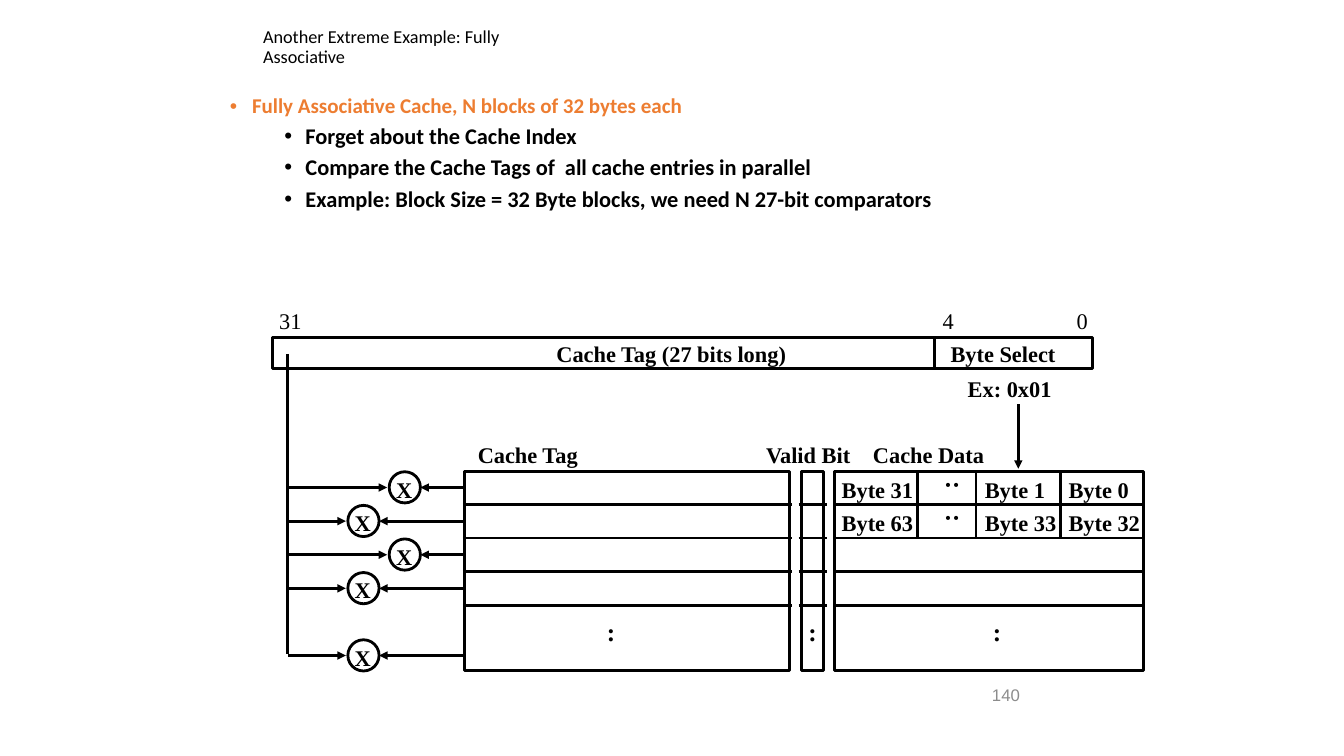
from lxml import etree
from pptx import Presentation
from pptx.dml.color import RGBColor
from pptx.enum.shapes import MSO_CONNECTOR, MSO_SHAPE
from pptx.enum.text import MSO_ANCHOR
from pptx.oxml.ns import qn
from pptx.util import Inches, Pt

COLORS = {"ink": "000000", "accent": "ED7D31", "number": "8C8C8C"}
SERIF = "Times New Roman"
ROW_HEIGHT = 1 / 3
ROWS_TOP = 4.67
TABLE_TOP, TABLE_HEIGHT = 4.68, 1.97
TAG_LEFT = 4.61
BUS_X = 2.86
CIRCLE_SIZE = 0.31

BULLETS = [
    "Fully Associative Cache, N blocks of 32 bytes each",
    "Forget about the Cache Index",
    "Compare the Cache Tags of  all cache entries in parallel",
    "Example: Block Size = 32 Byte blocks, we need N 27-bit comparators",
]
# Outline left and width, rule left and right, left of the colon
TABLES = [
    (8.28, 3.06, 8.28, 11.34, 9.75),
    (TAG_LEFT, 3.22, 4.59, 7.86, 5.92),
    (7.95, 0.22, 7.92, 8.20, 7.92),
]
# Text, left, top, width, bold
LABELS = [
    ("31", 2.67, 3.0, 0.42, False),
    ("4", 9.25, 3.0, 0.31, False),
    ("0", 10.58, 3.0, 0.31, False),
    ("Cache Tag (27 bits long)", 5.42, 3.33, 2.51, True),
    ("Byte Select", 9.33, 3.33, 1.26, True),
    ("Ex: 0x01", 9.5, 3.67, 1.04, True),
    ("Cache Tag", 4.64, 4.33, 1.21, True),
    ("Valid Bit", 7.5, 4.33, 1.06, True),
    ("Cache Data", 8.56, 4.33, 1.31, True),
]
# Text, left, width
BYTE_ROWS = [
    [("Byte 31", 8.25, 0.92), ("Byte 1", 9.67, 0.8), ("Byte 0", 10.5, 0.8)],
    [("Byte 63", 8.25, 0.92), ("Byte 33", 9.67, 0.92), ("Byte 32", 10.5, 0.92)],
]
BYTE_DIVIDERS = [9.1, 9.68, 10.52]
# Table row, left of the circle
COMPARATORS = [(0, 3.86), (1, 3.45), (2, 3.86), (3, 3.45), (5, 3.45)]


def style_font(font, name, size, color="ink", bold=False):
    font.name, font.size, font.bold = name, Pt(size), bold
    font.color.rgb = RGBColor.from_string(COLORS[color])


def add_text_frame(slide, left, top, width, height):
    box = slide.shapes.add_textbox(
        Inches(left), Inches(top), Inches(width), Inches(height))
    box.text_frame.word_wrap = True
    return box.text_frame


def add_label(slide, text, left, top, width, bold=True, size=16, rotation=0):
    height = 0.4 if size > 16 else 0.37
    box = slide.shapes.add_textbox(
        Inches(left), Inches(top), Inches(width), Inches(height))
    box.rotation = rotation
    box.text_frame.word_wrap = False
    box.text_frame.text = text
    style_font(box.text_frame.paragraphs[0].runs[0].font, SERIF, size, bold=bold)


def add_outline(slide, kind, left, top, width, height):
    shape = slide.shapes.add_shape(
        kind, Inches(left), Inches(top), Inches(width), Inches(height))
    shape.shadow.inherit = False
    shape.fill.background()
    shape.line.color.rgb = RGBColor.from_string(COLORS["ink"])
    shape.line.width = Pt(2)


def add_line(slide, x1, y1, x2, y2, arrow=False):
    line = slide.shapes.add_connector(
        MSO_CONNECTOR.STRAIGHT, Inches(x1), Inches(y1), Inches(x2), Inches(y2))
    line.line.color.rgb = RGBColor.from_string(COLORS["ink"])
    line.line.width = Pt(2)
    if arrow:
        etree.SubElement(line.line._get_or_add_ln(), qn("a:tailEnd"), type="triangle")
    etree.SubElement(line._element.spPr, qn("a:effectLst"))


def add_title(slide):
    frame = add_text_frame(slide, 2.54, 0.25, 3.33, 0.25)
    frame.margin_left, frame.margin_right = Inches(0.07), Inches(0.5)
    frame.margin_top = frame.margin_bottom = Inches(0.03)
    frame.text = "Another Extreme Example: Fully Associative"
    frame.paragraphs[0].line_spacing = 0.9
    style_font(frame.paragraphs[0].runs[0].font, "Calibri", 13)


def add_bullets(slide):
    frame = add_text_frame(slide, 2.21, 0.92, 9.29, 1.22)
    frame.margin_left = frame.margin_right = Inches(0.07)
    frame.margin_top = frame.margin_bottom = Inches(0.03)
    for index, text in enumerate(BULLETS):
        is_sub = index > 0
        paragraph = frame.add_paragraph() if is_sub else frame.paragraphs[0]
        paragraph.text = text
        paragraph.level = int(is_sub)
        paragraph.line_spacing = 0.9
        if is_sub:
            paragraph.space_before = Pt(5)
        indent, hanging = (0.75, 0.21) if is_sub else (0.22, 0.22)
        properties = paragraph._p.get_or_add_pPr()
        properties.set("marL", str(Inches(indent)))
        properties.set("indent", str(-Inches(hanging)))
        etree.SubElement(properties, qn("a:buFont"), typeface="Arial")
        etree.SubElement(properties, qn("a:buChar"), char="•")
        style_font(paragraph.runs[0].font, "Calibri", 16 if is_sub else 15,
                   "ink" if is_sub else "accent", bold=True)


def add_address(slide):
    add_outline(slide, MSO_SHAPE.RECTANGLE, 2.7, 3.35, 8.14, 0.31)
    add_line(slide, 9.27, 3.35, 9.27, 3.65)
    add_line(slide, 10.1, 4.01, 10.1, 4.65, arrow=True)


def add_tables(slide):
    for left, width, rule_left, rule_right, colon_left in TABLES:
        add_outline(slide, MSO_SHAPE.RECTANGLE, left, TABLE_TOP, width, TABLE_HEIGHT)
        for row in range(1, 5):
            y = ROWS_TOP + row * ROW_HEIGHT
            add_line(slide, rule_left, y, rule_right, y)
        add_label(slide, ":", colon_left, 6.07, 0.28, size=18)


def add_bytes(slide):
    for row, cells in enumerate(BYTE_ROWS):
        top = ROWS_TOP + row * ROW_HEIGHT
        for text, left, width in cells:
            add_label(slide, text, left, top, width)
        for x in BYTE_DIVIDERS:
            add_line(slide, x, top + 0.01, x, top + 0.32)
        add_label(slide, ":", 9.26, top - 0.06, 0.28, size=18, rotation=270)


def add_comparators(slide):
    add_line(slide, 2.85, 3.51, 2.85, 6.49)
    for row, left in COMPARATORS:
        top = ROWS_TOP + row * ROW_HEIGHT
        middle = top + ROW_HEIGHT / 2
        add_outline(slide, MSO_SHAPE.OVAL, left, top + 0.01, CIRCLE_SIZE, CIRCLE_SIZE)
        add_label(slide, "X", left - 0.03, top, 0.36)
        add_line(slide, BUS_X, middle, left - 0.02, middle, arrow=True)
        add_line(slide, TAG_LEFT, middle, left + CIRCLE_SIZE, middle, arrow=True)


def add_slide_number(slide):
    frame = add_text_frame(slide, 9.74, 6.66, 0.67, 0.47)
    frame.vertical_anchor = MSO_ANCHOR.MIDDLE
    frame.text = "140"
    style_font(frame.paragraphs[0].runs[0].font, "Arial", 12, "number")


def main():
    presentation = Presentation()
    presentation.slide_width = Inches(13.33)
    presentation.slide_height = Inches(7.5)
    slide = presentation.slides.add_slide(presentation.slide_layouts[6])
    add_title(slide)
    add_bullets(slide)
    add_address(slide)
    add_tables(slide)
    add_bytes(slide)
    add_comparators(slide)
    for text, left, top, width, bold in LABELS:
        add_label(slide, text, left, top, width, bold)
    add_slide_number(slide)
    presentation.save("out.pptx")


if __name__ == "__main__":
    main()
